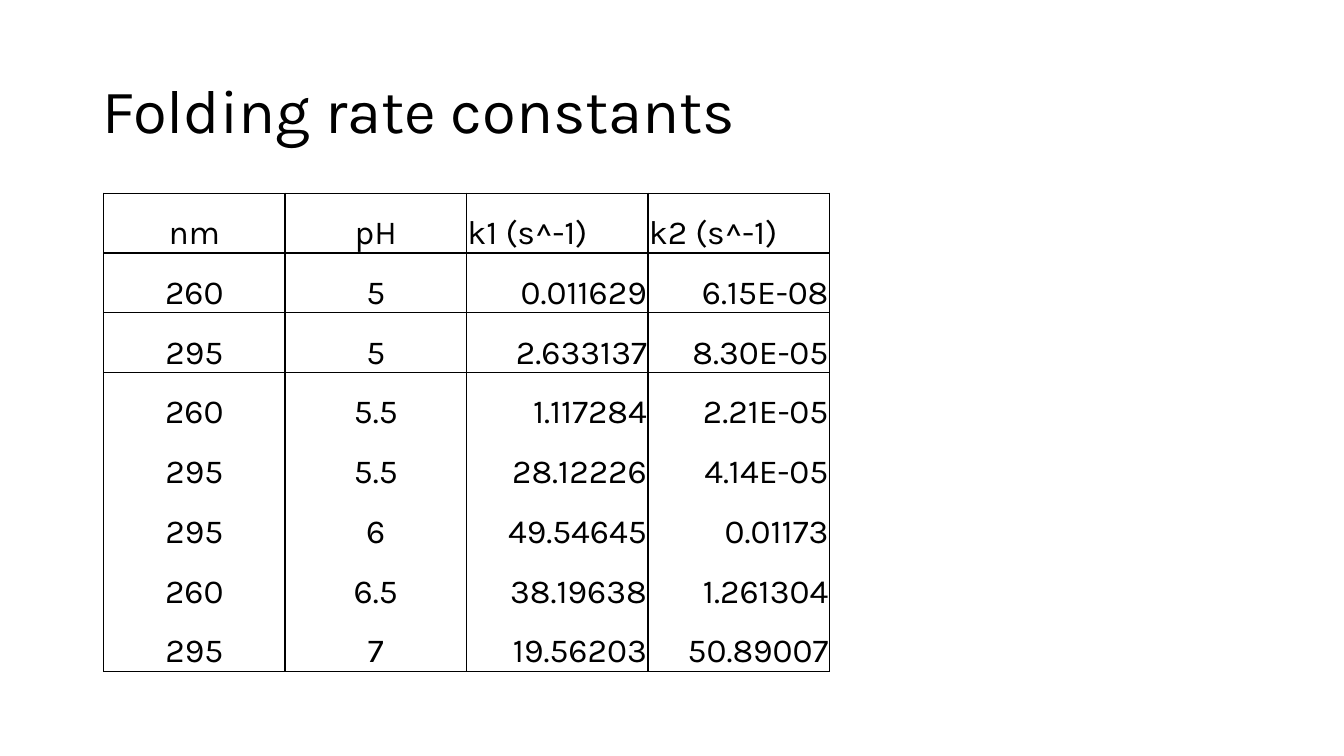
from lxml import etree
from pptx import Presentation
from pptx import util as u
from pptx.dml import color
from pptx.enum import text
from pptx.oxml import ns

TITLE = "Folding rate constants"
HEADERS = ("nm", "pH", "k1 (s^-1)", "k2 (s^-1)")
RATES = [
    ("260", "5", "0.011629", "6.15E-08"),
    ("295", "5", "2.633137", "8.30E-05"),
    ("260", "5.5", "1.117284", "2.21E-05"),
    ("295", "5.5", "28.12226", "4.14E-05"),
    ("295", "6", "49.54645", "0.01173"),
    ("260", "6.5", "38.19638", "1.261304"),
    ("295", "7", "19.56203", "50.89007"),
]
ROWS = [HEADERS] + RATES
RULED_ROWS = (0, 1, len(ROWS) - 1)  # rows with a line below

FONT = "Karla"
BLACK = "000000"
COLUMN_WIDTH = 129.6
ROW_HEIGHT = 29.5
TABLE_HEIGHT = 288.7
CELL_INSET = 0.72
NO_STYLE = "{2D5ABB26-0587-4C30-8999-92F81FD0307C}"


def rgb(value):
    return color.RGBColor.from_string(value)


def format_paragraph(paragraph, size, alignment, spacing):
    paragraph.alignment = alignment
    paragraph.line_spacing = spacing
    for run in paragraph.runs:
        run.font.name = FONT
        run.font.size = u.Pt(size)
        run.font.color.rgb = rgb(BLACK)


def add_borders(cell, sides):
    """Draw 1 pt lines on the sides, given in the order L, R, T, B."""
    properties = cell._tc.get_or_add_tcPr()
    for side in sides:
        line = etree.SubElement(properties, ns.qn(f"a:ln{side}"), w=str(u.Pt(1)))
        fill = etree.SubElement(line, ns.qn("a:solidFill"))
        etree.SubElement(fill, ns.qn("a:srgbClr"), val=BLACK)


def fill_cell(cell, value, row, column):
    is_condition = column < 2
    cell.text_frame.text = value
    if is_condition:
        alignment, spacing = text.PP_ALIGN.CENTER, 1.5
    else:
        alignment = text.PP_ALIGN.RIGHT if row else text.PP_ALIGN.LEFT
        spacing = 1.0
    format_paragraph(cell.text_frame.paragraphs[0], 24, alignment, spacing)
    cell.vertical_anchor = text.MSO_ANCHOR.MIDDLE if is_condition else text.MSO_ANCHOR.BOTTOM
    cell.margin_left = cell.margin_right = cell.margin_top = u.Pt(CELL_INSET)
    cell.margin_bottom = 0
    top = "T" if row in (0, 1, 2) else ""
    bottom = "B" if row in RULED_ROWS else ""
    add_borders(cell, "LR" + top + bottom)
    cell.fill.background()


def add_title(slide):
    title = slide.shapes.title
    title.left, title.top = u.Pt(66), u.Pt(28.75)
    title.width, title.height = u.Pt(828), u.Pt(104.4)
    title.text_frame.text = TITLE
    title.text_frame.vertical_anchor = text.MSO_ANCHOR.MIDDLE
    format_paragraph(title.text_frame.paragraphs[0], 44, text.PP_ALIGN.LEFT, 0.9)


def add_rate_table(slide):
    frame = slide.shapes.add_table(
        len(ROWS), len(HEADERS), u.Pt(74), u.Pt(138),
        u.Pt(COLUMN_WIDTH * len(HEADERS)), u.Pt(TABLE_HEIGHT))
    table = frame.table
    table.first_row = table.horz_banding = False
    table._tbl.tblPr.find(ns.qn("a:tableStyleId")).text = NO_STYLE
    for column in table.columns:
        column.width = u.Pt(COLUMN_WIDTH)
    for row in table.rows:
        row.height = u.Pt(ROW_HEIGHT)
    frame.height = u.Pt(TABLE_HEIGHT)
    for row, values in enumerate(ROWS):
        for column, value in enumerate(values):
            fill_cell(table.cell(row, column), value, row, column)


def main():
    presentation = Presentation()
    presentation.slide_width, presentation.slide_height = u.Pt(960), u.Pt(540)
    slide = presentation.slides.add_slide(presentation.slide_layouts[5])
    add_title(slide)
    add_rate_table(slide)
    presentation.save("out.pptx")


if __name__ == "__main__":
    main()
